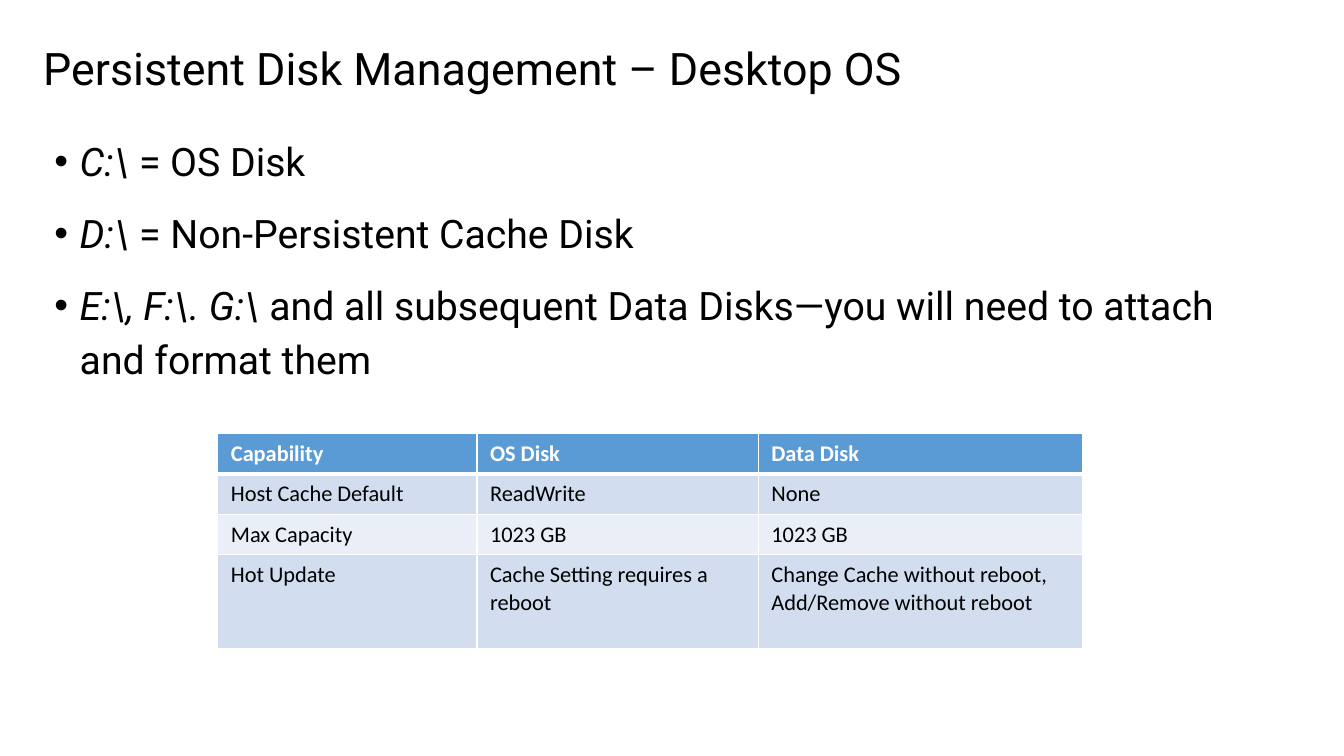
import pptx
import pptx.util
from lxml import etree
from pptx.dml.color import RGBColor
from pptx.enum.text import MSO_ANCHOR
from pptx.oxml.ns import qn
from pptx.util import Cm, Pt

TITLE = "Persistent Disk Management – Desktop OS"
DRIVES = [
    ("C:\\ ", "= OS Disk"),
    ("D:\\ ", "= Non-Persistent Cache Disk"),
    ("E:\\, F:\\. G:\\ ",
     "and all subsequent Data Disks—you will need to attach and format them"),
]
ROWS = [
    ("Capability", "OS Disk", "Data Disk"),
    ("Host Cache Default", "ReadWrite", "None"),
    ("Max Capacity", "1023 GB", "1023 GB"),
    ("Hot Update", "Cache Setting requires a reboot",
     "Change Cache without reboot,\nAdd/Remove without reboot"),
]
WIDTHS = (6.53, 7.09, 8.18)
HEIGHTS = (1.02, 1.02, 1.02, 2.36)

BLACK = RGBColor(0x00, 0x00, 0x00)
WHITE = RGBColor(0xFF, 0xFF, 0xFF)
BLUE = RGBColor(0x5B, 0x9B, 0xD5)
BANDS = (RGBColor(0xEA, 0xEF, 0xF7), RGBColor(0xD2, 0xDE, 0xEF))

HEAD = {"name": "Roboto", "size": Pt(32)}
BODY = {"name": "Roboto", "size": Pt(28)}
CELL = {"name": "Calibri", "size": Pt(16)}
INSET = {"margin_left": Cm(0.33), "margin_right": Cm(0.33),
         "margin_top": Cm(0.17), "margin_bottom": Cm(0.17)}


def apply(obj, form):
    for key, value in form.items():
        setattr(obj, key, value)


def add_run(para, text, form, color, **extra):
    run = para.add_run()
    run.text = text
    apply(run.font, {**form, **extra})
    run.font.color.rgb = color


def add_box(slide, left, top, width, height):
    frame = slide.shapes.add_textbox(
        Cm(left), Cm(top), Cm(width), Cm(height)).text_frame
    frame.word_wrap = True
    return frame


def add_bullet(para):
    props = para._p.get_or_add_pPr()
    props.set("marL", str(Cm(0.64)))
    props.set("indent", str(-Cm(0.64)))
    etree.SubElement(props, qn("a:buFont"), typeface="Arial")
    etree.SubElement(props, qn("a:buChar"), char="•")


def add_edges(cell, base):
    """Draw white cell borders; base is the bottom width in points."""
    props = cell._tc.get_or_add_tcPr()
    sides = {"L": 1, "R": 1, "T": 1, "B": base}
    for spot, (side, width) in enumerate(sides.items()):
        line = etree.Element(qn("a:ln" + side), w=str(Pt(width)))
        fill = etree.SubElement(line, qn("a:solidFill"))
        etree.SubElement(fill, qn("a:srgbClr"), val=str(WHITE))
        props.insert(spot, line)


def add_grid(slide):
    grid = slide.shapes.add_table(
        len(ROWS), len(WIDTHS), Cm(5.49), Cm(10.92),
        Cm(sum(WIDTHS)), Cm(sum(HEIGHTS))).table
    for col, width in zip(grid.columns, WIDTHS):
        col.width = Cm(width)
    for row, height in zip(grid.rows, HEIGHTS):
        row.height = Cm(height)
    for r, texts in enumerate(ROWS):
        top = r == 0
        for c, text in enumerate(texts):
            cell = grid.cell(r, c)
            apply(cell, INSET)
            cell.fill.solid()
            cell.fill.fore_color.rgb = BLUE if top else BANDS[r % 2]
            # The row under the header shares its thick edge.
            add_edges(cell, 3 if top else 1)
            frame = cell.text_frame
            for i, part in enumerate(text.split("\n")):
                para = frame.add_paragraph() if i else frame.paragraphs[0]
                add_run(para, part, CELL, WHITE if top else BLACK, bold=top)
            if r == 1:
                edge = cell._tc.tcPr.find(qn("a:lnT"))
                edge.set("w", str(Pt(3)))


def main():
    deck = pptx.Presentation()
    apply(deck, {"slide_width": Cm(33.87), "slide_height": Cm(19.05)})
    slide = deck.slides.add_slide(deck.slide_layouts[6])

    title = add_box(slide, 0.84, 0.84, 31.32, 1.9)
    title.vertical_anchor = MSO_ANCHOR.MIDDLE
    title.paragraphs[0].line_spacing = 0.9
    add_run(title.paragraphs[0], TITLE, HEAD, BLACK)

    body = add_box(slide, 1.12, 3.18, 31.04, 13.77)
    for i, (drive, note) in enumerate(DRIVES):
        para = body.add_paragraph() if i else body.paragraphs[0]
        add_bullet(para)
        apply(para, {"line_spacing": 1.14, "space_after": Pt(3),
                     "space_before": Pt(10 if i else 0)})
        add_run(para, drive, BODY, BLACK, italic=True)
        add_run(para, note, BODY, BLACK, italic=False)

    add_grid(slide)
    deck.save("out.pptx")


if __name__ == "__main__":
    main()
